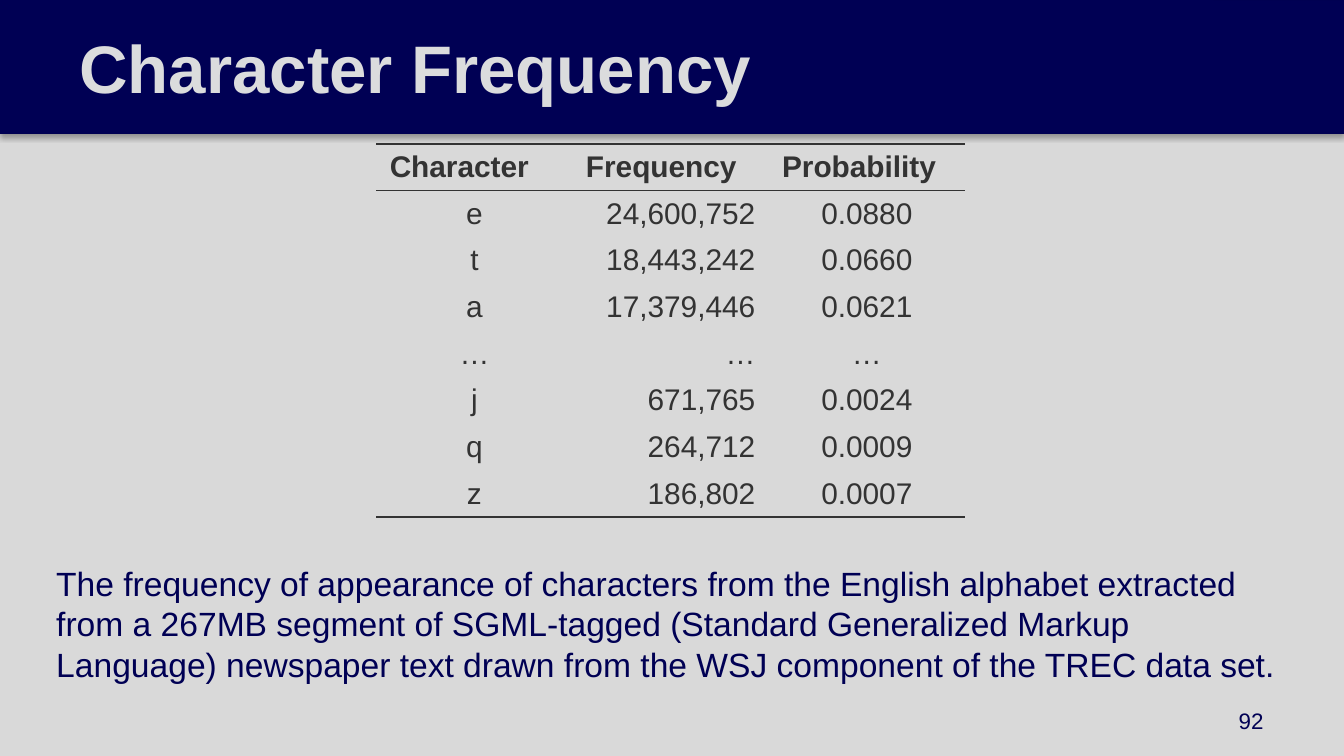
from dataclasses import dataclass

from lxml import etree
from pptx import Presentation
from pptx.dml.color import RGBColor
from pptx.enum import shapes, text
from pptx.oxml import ns
from pptx.util import Inches, Pt


@dataclass(frozen=True)
class Theme:
    font: str = "Arial"
    background: str = "D9D9D9"
    navy: str = "000054"
    bar_line: str = "000052"
    title_text: str = "DBDCDD"
    table_text: str = "333333"
    shadow: str = "000000"
    title_size: int = 36
    body_size: int = 18
    table_size: int = 16
    number_size: int = 12


THEME = Theme()
LEFT, CENTER, RIGHT = text.PP_ALIGN.LEFT, text.PP_ALIGN.CENTER, text.PP_ALIGN.RIGHT
COLUMN_ALIGNMENTS = (CENTER, RIGHT, CENTER)
ROWS = (
    ("Character", "Frequency", "Probability"),
    ("e", "24,600,752", "0.0880"),
    ("t", "18,443,242", "0.0660"),
    ("a", "17,379,446", "0.0621"),
    ("…", "…", "…"),
    ("j", "671,765", "0.0024"),
    ("q", "264,712", "0.0009"),
    ("z", "186,802", "0.0007"),
)
CAPTION = (
    "The frequency of appearance of characters from the English alphabet "
    "extracted from a 267MB segment of SGML-tagged (Standard Generalized "
    "Markup Language) newspaper text drawn from the WSJ component of the "
    "TREC data set."
)


def color(value):
    return RGBColor.from_string(value)


def add_element(parent, tag, **attributes):
    return etree.SubElement(parent, ns.qn(tag), attributes)


def write(frame, words, size, hue, bold=False, align=LEFT):
    frame.text = words
    para = frame.paragraphs[0]
    para.alignment = align
    for span in para.runs:
        span.font.name = THEME.font
        span.font.size = Pt(size)
        span.font.bold = bold
        span.font.color.rgb = color(hue)


def add_text(page, place, words, size, hue, anchor=text.MSO_ANCHOR.TOP, **style):
    box = page.shapes.add_textbox(*map(Inches, place))
    box.text_frame.word_wrap = True
    box.text_frame.vertical_anchor = anchor
    write(box.text_frame, words, size, hue, **style)
    return box


def add_title_bar(page, width, height):
    bar = page.shapes.add_shape(
        shapes.MSO_SHAPE.RECTANGLE, 0, 0, Inches(width), Inches(height))
    bar.shadow.inherit = False
    bar.fill.solid()
    bar.fill.fore_color.rgb = color(THEME.navy)
    bar.line.color.rgb = color(THEME.bar_line)
    bar.line.width = Pt(0.75)
    effects = bar._element.spPr.find(ns.qn("a:effectLst"))
    shadow = add_element(
        effects, "a:outerShdw", blurRad=str(Pt(3.1)), dist=str(Pt(1.8)),
        dir="5400000", rotWithShape="0")
    hue = add_element(shadow, "a:srgbClr", val=THEME.shadow)
    add_element(hue, "a:alpha", val="35000")


def add_title(page, words, width, height):
    box = add_text(page, (0, 0, width, height), words, THEME.title_size,
                   THEME.title_text, text.MSO_ANCHOR.MIDDLE, bold=True)
    box.fill.solid()
    box.fill.fore_color.rgb = color(THEME.navy)
    box.text_frame.margin_left = Inches(0.59)
    box.text_frame.margin_right = Inches(0.4)
    box.text_frame.margin_top = box.text_frame.margin_bottom = Inches(0.1)


def set_borders(cell, ruled_sides):
    properties = cell._tc.get_or_add_tcPr()
    for side in "LRTB":
        line = add_element(properties, f"a:ln{side}", w=str(Pt(1)))
        if side in ruled_sides:
            fill = add_element(line, "a:solidFill")
            add_element(fill, "a:srgbClr", val=THEME.table_text)
        else:
            add_element(line, "a:noFill")


def add_frequency_table(page, left, top, width, height):
    table = page.shapes.add_table(
        len(ROWS), len(ROWS[0]), *map(Inches, (left, top, width, height))).table
    table.first_row = table.horz_banding = False
    for row_index, values in enumerate(ROWS):
        header = row_index == 0
        ruled_sides = {0: "TB", 1: "T", len(ROWS) - 1: "B"}.get(row_index, "")
        for column_index, words in enumerate(values):
            cell = table.cell(row_index, column_index)
            cell.margin_left = cell.margin_right = Inches(0.1)
            cell.margin_top = cell.margin_bottom = Inches(0.04)
            cell.vertical_anchor = text.MSO_ANCHOR.MIDDLE
            set_borders(cell, ruled_sides)
            cell.fill.background()
            align = LEFT if header else COLUMN_ALIGNMENTS[column_index]
            write(cell.text_frame, words, THEME.table_size, THEME.table_text,
                  bold=header, align=align)


def main():
    deck = Presentation()
    deck.slide_width = Inches(10)
    deck.slide_height = deck.slide_width * 9 // 16
    page = deck.slides.add_slide(deck.slide_layouts[6])
    page.background.fill.solid()
    page.background.fill.fore_color.rgb = color(THEME.background)

    add_title_bar(page, 10, 0.99)
    add_title(page, "Character Frequency", 9.03, 0.99)
    add_frequency_table(page, 2.8, 1.07, 4.38, 2.78)
    add_text(page, (0.32, 4.14, 9.31, 1.01), CAPTION,
             THEME.body_size, THEME.navy)
    add_text(page, (7.17, 5.21, 2.33, 0.3), "92", THEME.number_size,
             THEME.navy, text.MSO_ANCHOR.MIDDLE, align=RIGHT)
    deck.save("out.pptx")


if __name__ == "__main__":
    main()
